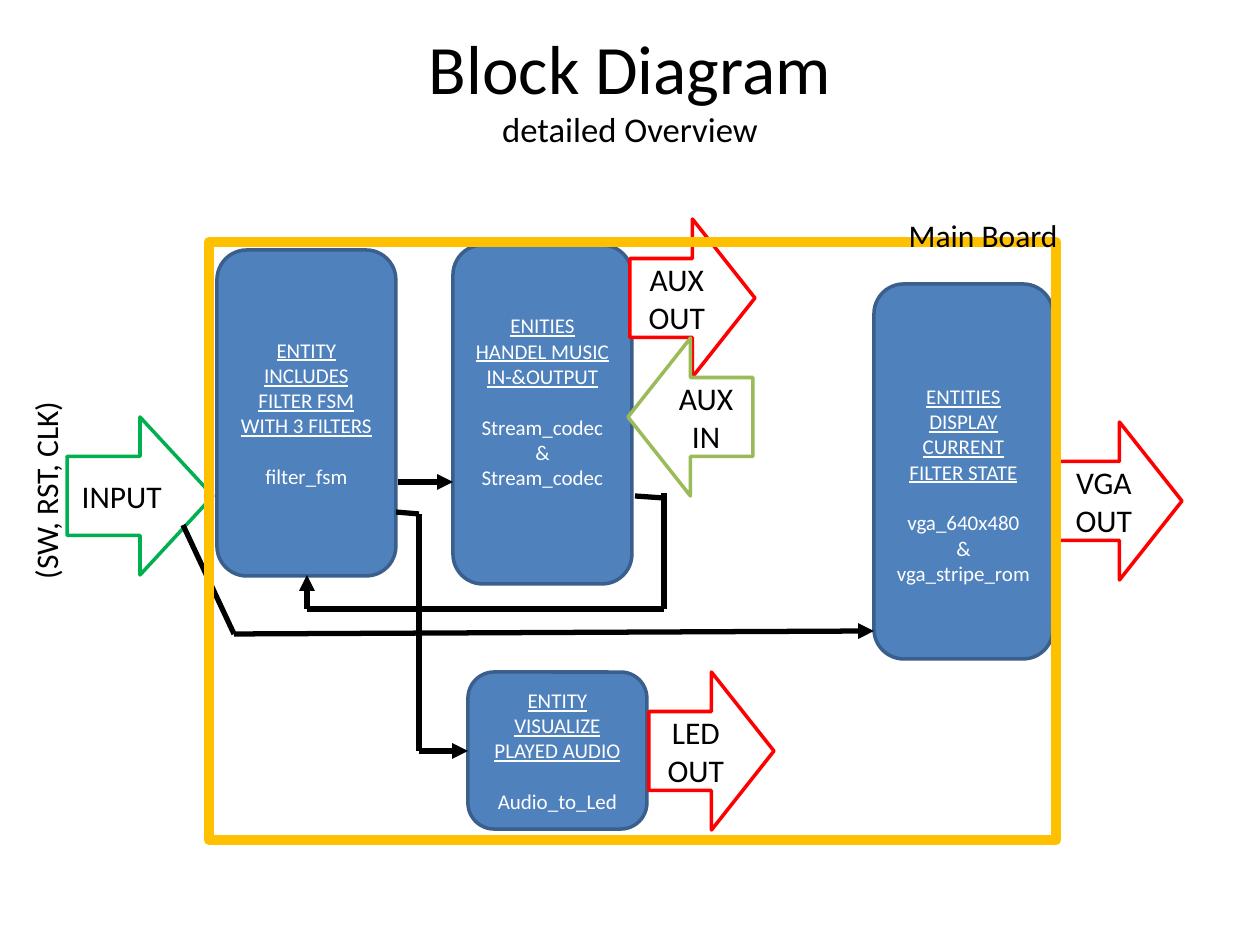
from itertools import pairwise
from lxml.etree import SubElement
from pptx import Presentation
from pptx.dml.color import RGBColor
from pptx.enum.shapes import MSO_CONNECTOR, MSO_SHAPE
from pptx.enum.text import MSO_ANCHOR, PP_ALIGN
from pptx.oxml.ns import qn
from pptx.util import Emu, Pt

SCALE = 914400 / 126
COLORS = {"blue": "4F81BD", "edge": "3A5F8C", "green": "00B050", "red": "FF0000",
          "olive": "9BBB59", "gold": "FFC000", "black": "000000", "white": "FFFFFF"}
GAP = 14.65
ROW = 26


def px(n):
    return Emu(round(n * SCALE))


def color(name):
    return RGBColor.from_string(COLORS[name])


def add_lines(frame, lines, size, ink, align=PP_ALIGN.CENTER):
    for i, line in enumerate(lines):
        para = frame.paragraphs[0] if i == 0 else frame.add_paragraph()
        para.text = line
        para.alignment = align
        font = para.font
        font.name, font.size = "Calibri", Pt(size)
        font.color.rgb = color(ink)
    return frame.paragraphs


def add_shape(slide, kind, box, fill, edge, width):
    shape = slide.shapes.add_shape(kind, *map(px, box))
    shape.shadow.inherit = False
    if fill:
        shape.fill.solid()
        shape.fill.fore_color.rgb = color(fill)
    else:
        shape.fill.background()
    shape.line.color.rgb = color(edge)
    shape.line.width = Pt(width)
    shape.text_frame.word_wrap = True
    shape.text_frame.vertical_anchor = MSO_ANCHOR.MIDDLE
    return shape


def add_label(slide, box, text, align, wrap=True, turn=0):
    label = slide.shapes.add_textbox(*map(px, box))
    label.rotation = turn
    label.text_frame.word_wrap = wrap
    add_lines(label.text_frame, [text], 18, "black", align)


def add_title(slide, box, head, sub):
    title = slide.shapes.add_textbox(*map(px, box))
    frame = title.text_frame
    frame.word_wrap = True
    frame.vertical_anchor = MSO_ANCHOR.MIDDLE
    frame.margin_bottom += px(41)
    paras = add_lines(frame, [head, sub], 19.8, "black")
    paras[0].font.size = Pt(39.6)


def add_block(slide, box, heads, names, above=0, below=0):
    shape = add_shape(slide, MSO_SHAPE.ROUNDED_RECTANGLE, box, "blue", "edge", 2)
    frame = shape.text_frame
    frame.margin_top += px(above * ROW)
    frame.margin_bottom += px(below * ROW)
    paras = add_lines(frame, heads + names, 12, "white")
    for para in paras[:len(heads)]:
        para.font.underline = True
    paras[len(heads)].space_before = Pt(GAP)


def add_arrow(slide, kind, box, edge, lines):
    shape = add_shape(slide, kind, box, "white", edge, 2)
    add_lines(shape.text_frame, lines, 18, "black")


def add_route(slide, points, tip=True):
    legs = list(pairwise(points))
    for i, (start, end) in enumerate(legs):
        leg = slide.shapes.add_connector(MSO_CONNECTOR.STRAIGHT, *map(px, start + end))
        leg.line.color.rgb = color("black")
        leg.line.width = Pt(3)
        if tip and i == len(legs) - 1:
            line = leg._element.spPr.find(qn("a:ln"))
            SubElement(line, qn("a:tailEnd"), type="triangle")
        SubElement(leg._element.spPr, qn("a:effectLst"))


def add_board(slide, box, name):
    left, top, width, height = box
    add_shape(slide, MSO_SHAPE.RECTANGLE, box, None, "gold", 6)
    add_label(slide, (left + width - 189, top - 32, 203, 50), name, PP_ALIGN.RIGHT)


def build():
    deck = Presentation()
    deck.slide_width, deck.slide_height = px(1260), px(945)
    slide = deck.slides.add_slide(deck.slide_layouts[6])
    right, left = MSO_SHAPE.RIGHT_ARROW, MSO_SHAPE.LEFT_ARROW

    add_title(slide, (63, 29, 1134, 158), "Block Diagram", "detailed Overview")
    add_block(slide, (217, 250, 179, 326),
              ["ENTITY INCLUDES FILTER FSM WITH 3 FILTERS"], ["filter_fsm"])
    add_block(slide, (468, 672, 179, 157),
              ["ENTITY", "VISUALIZE PLAYED AUDIO"], ["Audio_to_Led"])
    add_block(slide, (453, 245, 179, 339), ["ENITIES HANDEL MUSIC IN-&OUTPUT"],
              ["Stream_codec", "&", "Stream_codec"], below=1)
    add_block(slide, (874, 284, 179, 375), ["ENTITIES DISPLAY CURRENT FILTER STATE"],
              ["vga_640x480", "&", "vga_stripe_rom"], above=1)

    add_arrow(slide, right, (67, 417, 146, 158), "green", ["INPUT"])
    add_arrow(slide, right, (1057, 422, 125, 158), "red", ["VGA", "OUT"])
    add_arrow(slide, right, (649, 672, 125, 158), "red", ["LED OUT"])
    for points in (
        [(398, 482), (453, 482)],
        [(396, 512), (419, 514), (419, 751), (468, 751)],
        [(183, 525), (234, 634), (874, 631)],
        [(664, 493), (664, 609), (307, 609), (307, 575)],
    ):
        add_route(slide, points)
    add_route(slide, [(635, 496), (664, 498)], tip=False)
    add_arrow(slide, right, (630, 219, 125, 158), "red", ["AUX", "OUT"])
    add_arrow(slide, left, (628, 338, 125, 158), "olive", ["AUX", "IN"])

    add_label(slide, (-57, 464, 205, 50), "(SW, RST, CLK)", PP_ALIGN.LEFT, False, 270)
    add_board(slide, (209, 242, 847, 598), "Main Board")
    deck.save("out.pptx")


build()
